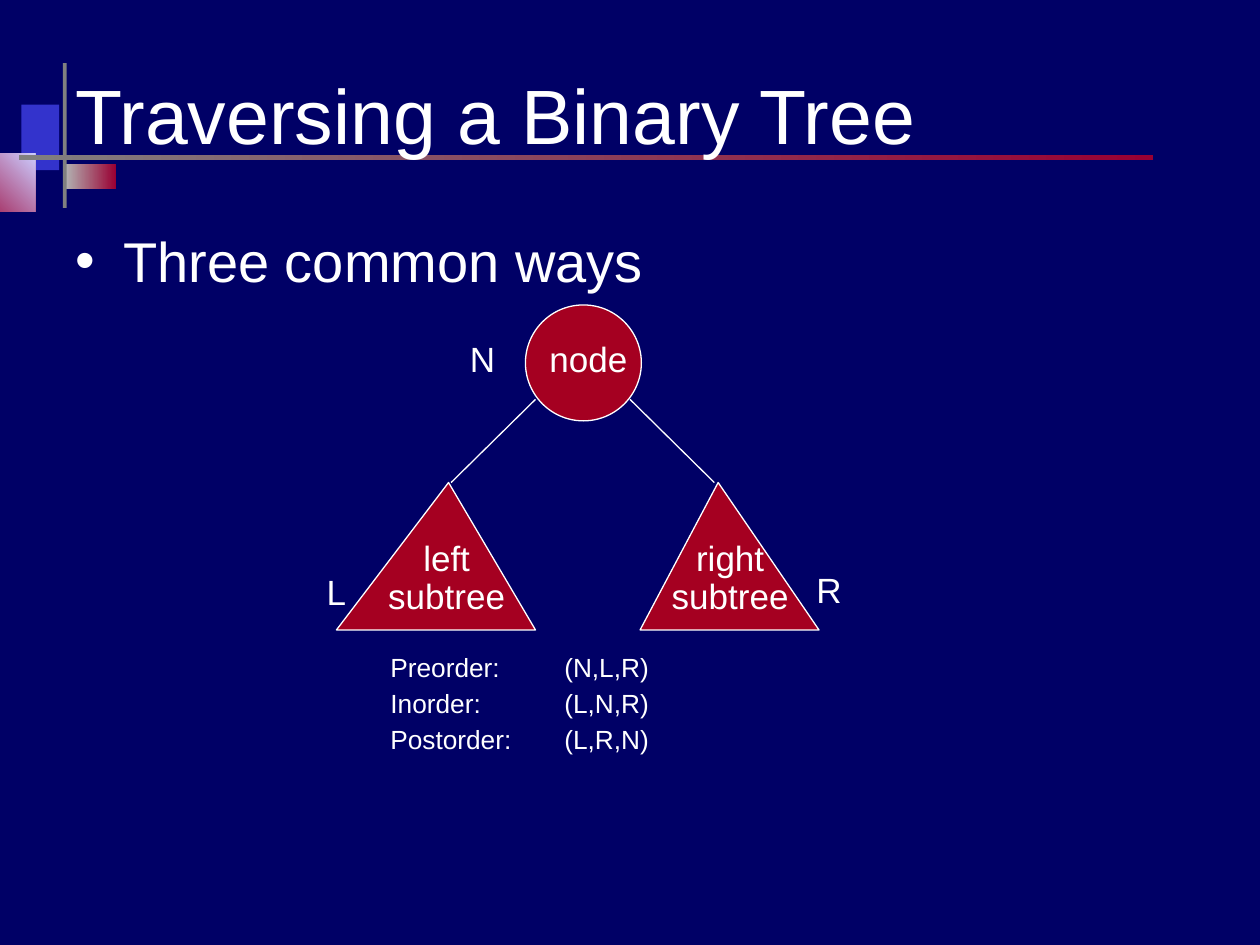
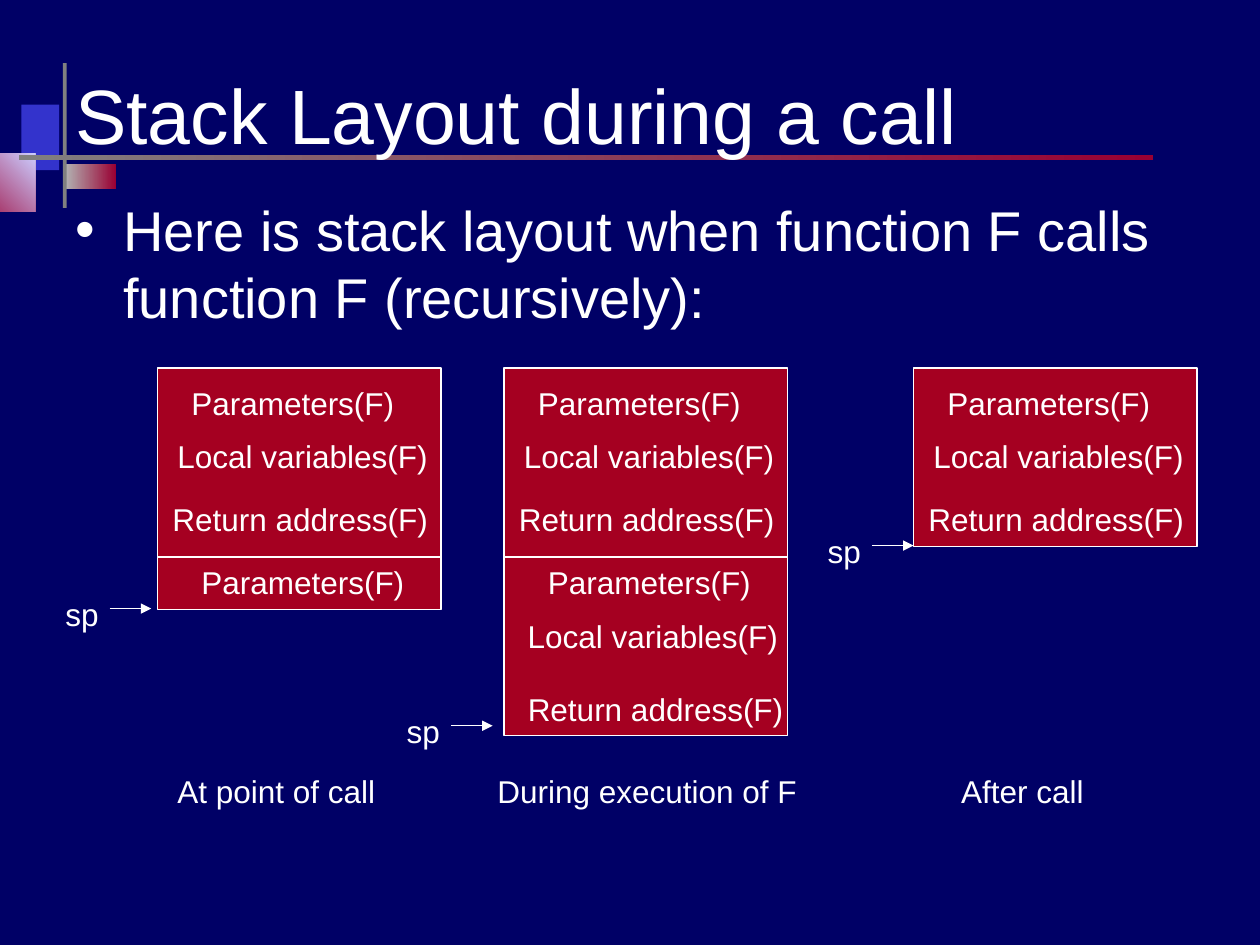
from dataclasses import dataclass

import lxml.etree
import pptx
import pptx.dml.color
import pptx.enum.shapes
import pptx.enum.text
import pptx.oxml.ns
import pptx.util

Inches = pptx.util.Inches
Shape = pptx.enum.shapes.MSO_SHAPE
Align = pptx.enum.text.PP_ALIGN
Anchor = pptx.enum.text.MSO_ANCHOR
AutoSize = pptx.enum.text.MSO_AUTO_SIZE


@dataclass(frozen=True)
class Theme:
    font: str = "Arial"
    background: str = "000066"
    text: str = "FFFFFF"
    node: str = "A50021"
    blue: str = "3333CC"
    lavender: str = "CCCCFF"
    wine: str = "990033"
    silver: str = "B2B2B2"
    gray: str = "808080"
    title_size: int = 44
    body_size: int = 32
    tree_size: int = 20
    stack_size: int = 18
    order_size: int = 15
    line_width: float = 0.75


THEME = Theme()

# Stack rows: label, offset from the stack's left and top
PARAMETERS, LOCALS, RETURN = "Parameters(F)", "Local variables(F)", "Return address(F)"
STACK_ROWS = [
    (PARAMETERS, 0.17, 0.08),
    (LOCALS, 0.06, 0.5),
    (RETURN, 0.02, 1.0),
    (PARAMETERS, 0.25, 1.5),
    (LOCALS, 0.09, 1.93),
    (RETURN, 0.09, 2.51),
]
# Box widths leave a little room beside the text, so each label stays on one line
LABEL_WIDTHS = {
    PARAMETERS: 1.9,
    LOCALS: 2.3,
    RETURN: 2.35,
    "At point of call": 1.9,
    "During execution of F": 2.7,
    "After call": 1.3,
    "sp": 0.56,
}
ROWS_PER_CALL = 3
STACK_TOP, STACK_WIDTH, FRAME_HEIGHT = 2.92, 2.25, 1.5


def rgb(color):
    return pptx.dml.color.RGBColor.from_string(color)


def sub(parent, tag, **attributes):
    return lxml.etree.SubElement(parent, pptx.oxml.ns.qn(tag), **attributes)


# Elements
def add_text(shapes, box, lines, size, align=Align.LEFT, spacing=None, before=0,
             anchor=Anchor.TOP, fit=True, bullet=None, indent=0):
    tf = shapes.add_textbox(*map(Inches, box)).text_frame
    tf.word_wrap = True
    tf.vertical_anchor = anchor
    tf.auto_size = AutoSize.SHAPE_TO_FIT_TEXT if fit else AutoSize.NONE
    for i, line in enumerate(lines):
        p = tf.paragraphs[0] if i == 0 else tf.add_paragraph()
        p.add_run().text = line
        p.alignment = align
        if spacing:
            p.line_spacing = spacing
        if before and i > 0:
            p.space_before = pptx.util.Pt(before)
        if bullet:
            p_pr = p._p.get_or_add_pPr()
            p_pr.set("marL", str(Inches(indent)))
            p_pr.set("indent", str(-Inches(indent)))
            sub(sub(p_pr, "a:buClr"), "a:srgbClr", val=THEME.text)
            sub(p_pr, "a:buFont", typeface=THEME.font)
            sub(p_pr, "a:buChar", char=bullet)
        p.font.name = THEME.font
        p.font.size = pptx.util.Pt(size)
        p.font.color.rgb = rgb(THEME.text)


def style_node(shape):
    shape.shadow.inherit = False
    shape.fill.solid()
    shape.fill.fore_color.rgb = rgb(THEME.node)
    shape.line.color.rgb = rgb(THEME.text)
    shape.line.width = pptx.util.Pt(THEME.line_width)


def add_node(shapes, kind, box):
    style_node(shapes.add_shape(kind, *map(Inches, box)))


def add_subtree(shapes, apex, right, left):
    points = [tuple(map(Inches, point)) for point in (apex, right, left)]
    builder = shapes.build_freeform(*points[0])
    builder.add_line_segments(points[1:], close=True)
    style_node(builder.convert_to_shape())


def add_line(shapes, start, end, arrow=False):
    line = shapes.add_connector(pptx.enum.shapes.MSO_CONNECTOR.STRAIGHT,
                                *map(Inches, start + end))
    line.line.color.rgb = rgb(THEME.text)
    line.line.width = pptx.util.Pt(THEME.line_width)
    if arrow:
        sub(line.line._get_or_add_ln(), "a:tailEnd", type="triangle")
    sub(line._element.spPr, "a:effectLst")


def add_band(shapes, box, start, end=None, angle=0):
    band = shapes.add_shape(Shape.RECTANGLE, *map(Inches, box))
    band.shadow.inherit = False
    band.line.fill.background()
    if end is None:
        band.fill.solid()
        band.fill.fore_color.rgb = rgb(start)
        return
    band.fill.gradient()
    band.fill.gradient_angle = angle
    for stop, color in zip(band.fill.gradient_stops, (start, end)):
        stop.color.rgb = rgb(color)


# Shared slide frame: background, corner ornament, title and bullet
def add_slide(prs, title, point, point_top, point_height):
    s = prs.slides.add_slide(prs.slide_layouts[6])
    s.background.fill.solid()
    s.background.fill.fore_color.rgb = rgb(THEME.background)
    add_band(s.shapes, (0.17, 0.83, 0.3, 0.52), THEME.blue)
    add_band(s.shapes, (0.52, 1.3, 0.4, 0.2), THEME.silver, THEME.wine)
    add_band(s.shapes, (-0.33, 1.22, 0.61, 0.46), THEME.wine, THEME.lavender, 45)
    add_band(s.shapes, (0.5, 0.5, 0.03, 1.15), THEME.gray)
    add_band(s.shapes, (0.15, 1.23, 9, 0.04), THEME.gray, THEME.wine)
    add_text(s.shapes, (0.5, 0.4, 9, 1), [title], THEME.title_size,
             anchor=Anchor.MIDDLE, fit=False)
    add_text(s.shapes, (0.5, point_top, 9, point_height), [point], THEME.body_size,
             fit=False, bullet="•", indent=0.38)
    return s.shapes


# Stack parts
def add_stack_label(shapes, left, top, label):
    add_text(shapes, (left, top, LABEL_WIDTHS[label], 0.4), [label], THEME.stack_size)


def add_stack(shapes, left, height, row_count):
    group = shapes.add_group_shape().shapes
    add_node(group, Shape.RECTANGLE, (left, STACK_TOP, STACK_WIDTH, height))
    for label, dx, dy in STACK_ROWS[:row_count]:
        add_stack_label(group, left + dx, STACK_TOP + dy, label)
    if row_count > ROWS_PER_CALL:
        y = STACK_TOP + FRAME_HEIGHT
        add_line(group, (left, y), (left + STACK_WIDTH, y))


def add_stack_pointer(shapes, left, top):
    group = shapes.add_group_shape().shapes
    add_stack_label(group, left, top, "sp")
    x, y = left + 0.45, top + 0.16
    add_line(group, (x, y), (x + 0.33, y), arrow=True)


# Slides
def build_tree_slide(prs):
    shapes = add_slide(prs, "Traversing a Binary Tree", "Three common ways", 1.75, 1)
    add_node(shapes, Shape.OVAL, (4.17, 2.42, 0.92, 0.92))
    add_text(shapes, (4.17, 2.63, 1, 0.44), ["node"], THEME.tree_size, Align.CENTER)
    add_line(shapes, (5, 3.17), (5.67, 3.83))
    add_line(shapes, (4.25, 3.17), (3.58, 3.83))
    add_subtree(shapes, (3.56, 3.83), (4.25, 5), (2.67, 5))
    add_subtree(shapes, (5.7, 3.83), (6.5, 5), (5.08, 5))
    labels = [
        ("left subtree", (2.92, 4.25, 1.25, 0.7)),
        ("right subtree", (5.17, 4.25, 1.25, 0.7)),
        ("L", (2.42, 4.52, 0.5, 0.4)),
        ("N", (3.58, 2.67, 0.5, 0.4)),
        ("R", (6.33, 4.5, 0.5, 0.4)),
    ]
    for label, box in labels:
        add_text(shapes, box, [label], THEME.tree_size, Align.CENTER, spacing=0.9)

    # Traversal orders in two aligned columns
    columns = [
        (3, 1.38, ["Preorder:", "Inorder:", "Postorder:"]),
        (4.38, 1.95, ["(N,L,R)", "(L,N,R)", "(L,R,N)"]),
    ]
    for left, width, lines in columns:
        add_text(shapes, (left, 5.17, width, 1.5), lines, THEME.order_size,
                 spacing=0.8, before=6, fit=False)


def build_stack_slide(prs):
    shapes = add_slide(
        prs, "Stack Layout during a call",
        "Here is stack layout when function F calls function F (recursively):", 1.5, 1.33)
    # Stack left, height, rows; caption and its left; pointer position
    stages = [
        (1.25, 1.92, 4, "At point of call", 1.31, (0.42, 4.67)),
        (4, 2.92, 6, "During execution of F", 3.85, (3.13, 5.6)),
        (7.25, 1.42, 3, "After call", 7.53, (6.47, 4.17)),
    ]
    for left, height, rows, caption, caption_left, pointer in stages:
        add_stack(shapes, left, height, rows)
        add_stack_label(shapes, caption_left, 6.08, caption)
        add_stack_pointer(shapes, *pointer)


def main():
    prs = pptx.Presentation()
    prs.slide_width, prs.slide_height = Inches(10), Inches(7.5)
    build_tree_slide(prs)
    build_stack_slide(prs)
    prs.save("out.pptx")


if __name__ == "__main__":
    main()
